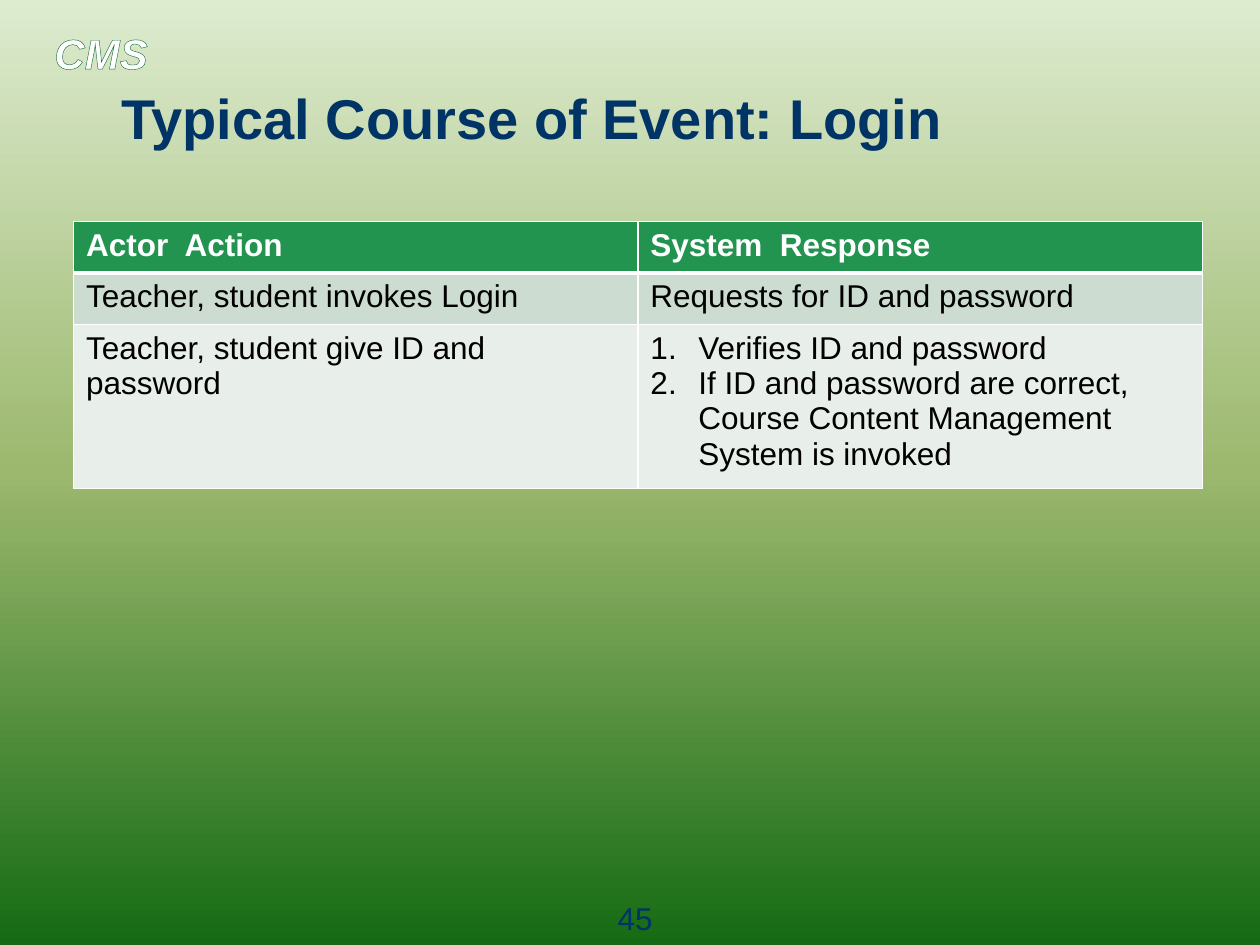
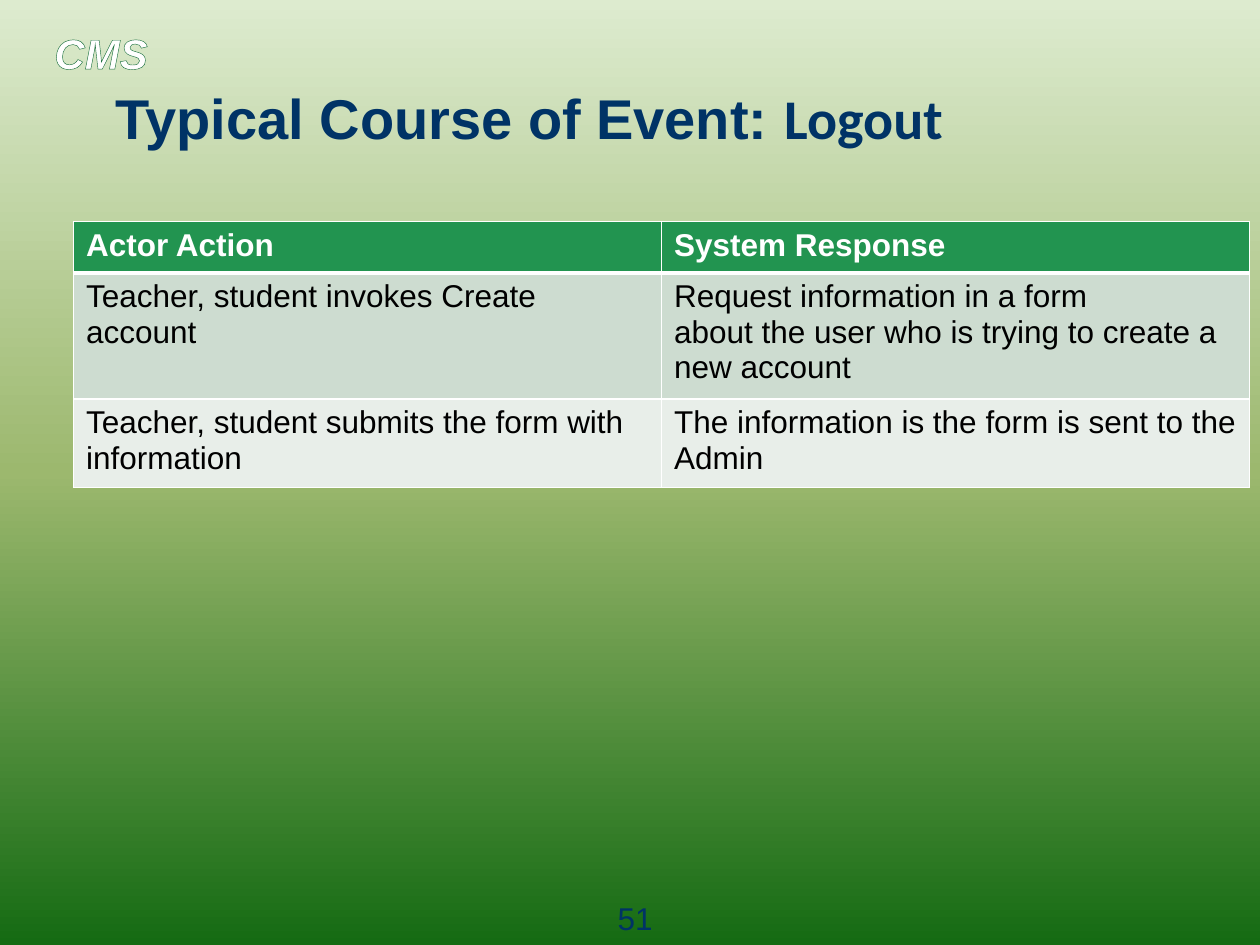
from copy import deepcopy

from pptx import Presentation
from pptx import util as u
from pptx.dml.color import RGBColor
from pptx.enum import text
from pptx.oxml import ns
from lxml import etree

NAVY = RGBColor(0x00, 0x33, 0x66)
WHITE = RGBColor(0xFF, 0xFF, 0xFF)
BLACK = RGBColor(0x00, 0x00, 0x00)
HEADER_GREEN = RGBColor(0x22, 0x94, 0x50)
OUTLINE_GREEN = RGBColor(0x19, 0x6F, 0x3C)
ROW_FILLS = [HEADER_GREEN, RGBColor(0xCD, 0xDC, 0xD0), RGBColor(0xE8, 0xEE, 0xE9)]
BACKGROUND = [
    (0, RGBColor(0xDD, 0xEB, 0xCF)),
    (0.5, RGBColor(0x9C, 0xB8, 0x6E)),
    (1, RGBColor(0x15, 0x6B, 0x13)),
]
FONT = "Arial"
COLUMNS, ROWS = 120, 90
MARGIN = 7
ROW_HEIGHT = 4.9


def line_xml(tag, points, color):
    line = etree.Element(ns.qn(tag), w=str(u.Pt(points)))
    fill = etree.SubElement(line, ns.qn("a:solidFill"))
    etree.SubElement(fill, ns.qn("a:srgbClr"), val=str(color))
    return line


class CourseDeck:
    def __init__(self):
        self.deck = Presentation()
        self.deck.slide_width = u.Inches(10)
        self.deck.slide_height = u.Inches(7.5)
        self.page = None
        self.paint_background()

    def paint_background(self):
        master = self.deck.slide_master
        fill = master.background.fill
        fill.gradient()
        fill.gradient_angle = 270
        stop_list = master.element.xpath("./p:cSld/p:bg//a:gsLst")[0]
        stop_list.append(deepcopy(stop_list[0]))
        for stop, (position, color) in zip(fill.gradient_stops, BACKGROUND):
            stop.position = position
            stop.color.rgb = color

    def across(self, columns):
        return round(self.deck.slide_width * columns / COLUMNS)

    def down(self, rows):
        return round(self.deck.slide_height * rows / ROWS)

    def area(self, left, top, width, height):
        return self.across(left), self.down(top), self.across(width), self.down(height)

    def style(self, para, size, color, bold=False, align=text.PP_ALIGN.LEFT):
        para.alignment = align
        para.font.name = FONT
        para.font.size = u.Pt(size)
        para.font.bold = bold
        para.font.color.rgb = color

    def new_page(self, number):
        self.page = self.deck.slides.add_slide(self.deck.slide_layouts[5])
        mark = self.label("CMS", (4, 2, 18, 6), 24, WHITE, bold=True)
        mark.font.italic = True
        properties = mark.runs[0].font
        properties.size = u.Pt(24)
        mark.runs[0]._r.get_or_add_rPr().insert(0, line_xml("a:ln", 1, OUTLINE_GREEN))
        properties.color.rgb = WHITE
        self.label(str(number), (55, 85, 11, 3.5), 18, NAVY, align=text.PP_ALIGN.CENTER)

    def label(self, words, place, size, color, **look):
        box = self.page.shapes.add_textbox(*self.area(*place))
        box.text_frame.word_wrap = True
        para = box.text_frame.paragraphs[0]
        para.text = words
        self.style(para, size, color, **look)
        return para

    def title(self, lead, ending, ending_font=FONT):
        box = self.page.shapes.title
        box.left, box.top, box.width, box.height = self.area(MARGIN, 8, 84, 6.4)
        frame = box.text_frame
        frame.auto_size = text.MSO_AUTO_SIZE.NONE
        frame.vertical_anchor = text.MSO_ANCHOR.MIDDLE
        para = frame.paragraphs[0]
        self.style(para, 32, NAVY, bold=True, align=text.PP_ALIGN.RIGHT)
        for words, font in ((lead, FONT), (ending, ending_font)):
            span = para.add_run()
            span.text = words
            span.font.name = font

    def table(self, width, rows):
        place = self.area(MARGIN, 21.1, width, ROW_HEIGHT * len(rows))
        table = self.page.shapes.add_table(len(rows), 2, *place).table
        for row_index, row in enumerate(rows):
            for column_index, content in enumerate(row):
                self.fill_cell(table.cell(row_index, column_index), row_index, content)

    def fill_cell(self, cell, row_index, content):
        header = row_index == 0
        numbered = isinstance(content, list)
        cell.text = "\n".join(content) if numbered else content
        for para in cell.text_frame.paragraphs:
            self.style(para, 18, WHITE if header else BLACK, bold=header)
            if numbered:
                self.number(para)
        cell.fill.solid()
        cell.fill.fore_color.rgb = ROW_FILLS[row_index]
        edges = {"L": 1, "R": 1, "T": 3 if row_index == 1 else 1, "B": 3 if header else 1}
        properties = cell._tc.get_or_add_tcPr()
        for order, (side, points) in enumerate(edges.items()):
            properties.insert(order, line_xml(f"a:ln{side}", points, WHITE))

    def number(self, para):
        properties = para._p.get_or_add_pPr()
        indent = u.Inches(0.38)
        properties.set("marL", str(indent))
        properties.set("indent", str(-indent))
        bullet = etree.Element(ns.qn("a:buAutoNum"), type="arabicPeriod")
        properties.insert(0, bullet)


def main():
    course = CourseDeck()

    course.new_page(45)
    course.title("Typical Course of Event: ", "Login")
    course.table(107.5, [
        ("Actor  Action", "System  Response"),
        ("Teacher, student invokes Login", "Requests for ID and password"),
        ("Teacher, student give ID and password", [
            "Verifies ID and password",
            "If ID and password are correct, Course Content Management System is invoked",
        ]),
    ])

    course.new_page(51)
    course.title("Typical Course of Event: ", "Logout", ending_font="Calibri")
    course.table(112, [
        ("Actor Action", "System Response"),
        ("Teacher, student invokes Create account",
         "Request information in a form\n"
         "about the user who is trying to create a new account"),
        ("Teacher, student submits the form with information",
         "The information is the form is sent to the Admin"),
    ])

    course.deck.save("out.pptx")


if __name__ == "__main__":
    main()
